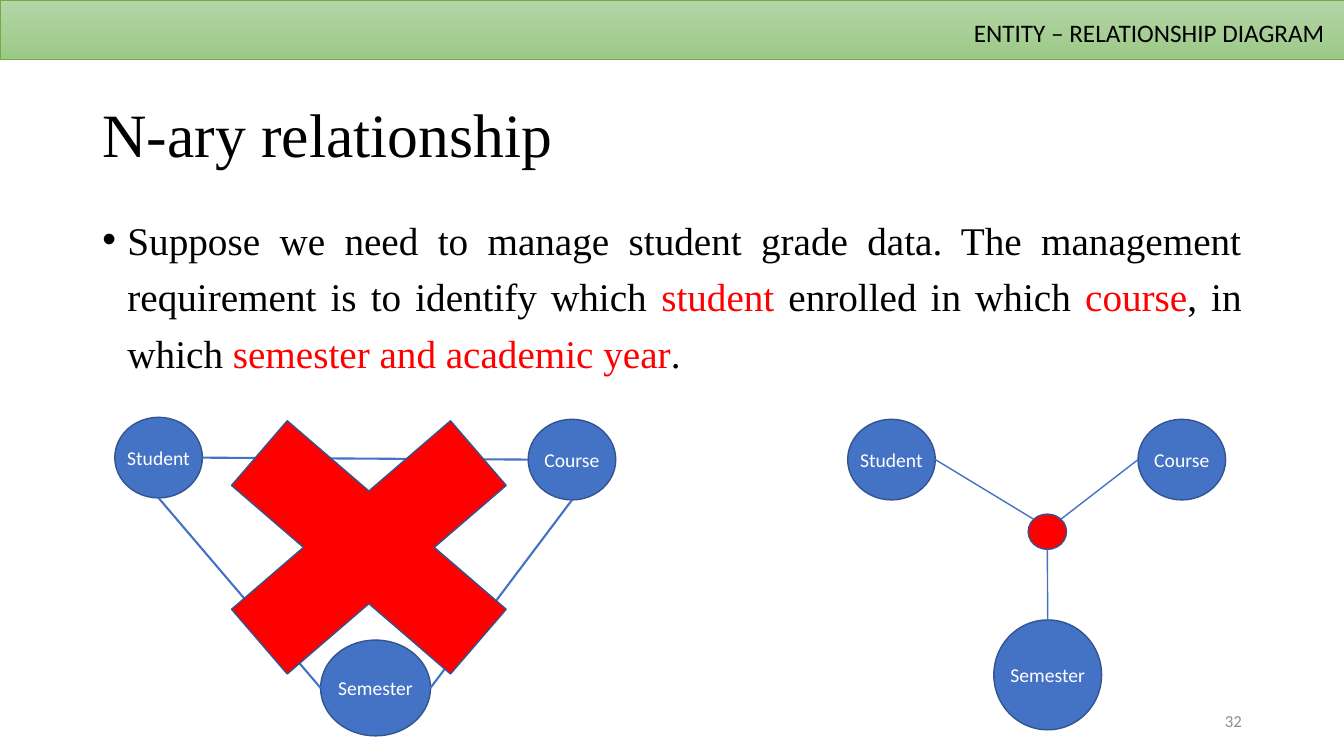
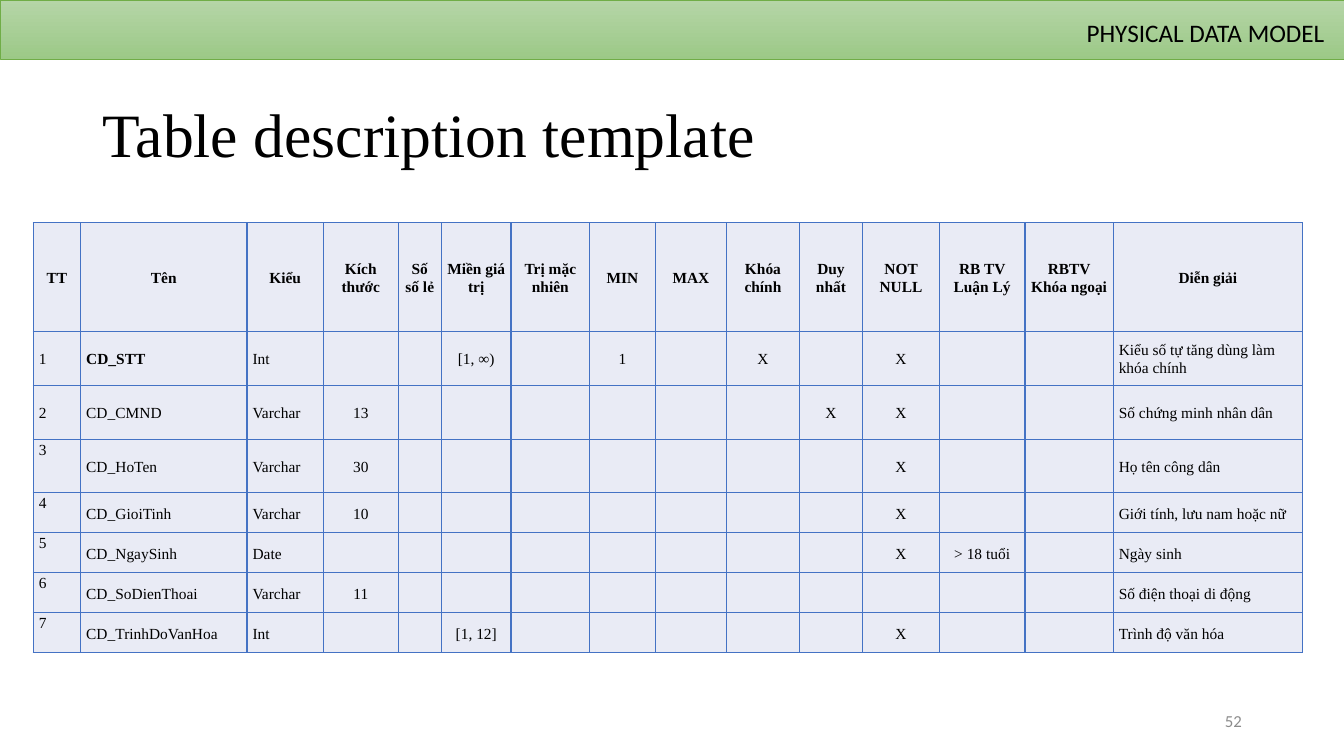
import lxml.etree
import pptx
import pptx.dml.color
import pptx.enum.shapes
import pptx.enum.text
import pptx.oxml.ns
import pptx.util

Pt = pptx.util.Pt
qn = pptx.oxml.ns.qn
ALIGN = pptx.enum.text.PP_ALIGN
ANCHOR = pptx.enum.text.MSO_ANCHOR
SHAPE = pptx.enum.shapes.MSO_SHAPE

# Shared colours and text formats
BLACK, WHITE, GREY, RED = "000000", "FFFFFF", "8C8C8C", "FF0000"
BLUE, DARK_BLUE, GREEN = "4472C4", "325491", "70AD47"
BAND_TOP, BAND_BOTTOM = "B5D5A7", "9CC987"
CELL_FILL = "E9EBF5"

TITLE_FONT = {"name": "Times New Roman", "size": Pt(44)}
BODY_FONT = {"name": "Times New Roman", "size": Pt(28)}
HEADER_FONT = {"name": "Calibri", "size": Pt(18)}
NUMBER_FONT = {"name": "Calibri", "size": Pt(12)}
NODE_FONT = {"name": "Calibri", "size": Pt(14)}
CELL_FONT = {"name": "Times New Roman", "size": Pt(11), "bold": False}
BOLD_CELL_FONT = {**CELL_FONT, "bold": True}

NO_MARGINS = dict.fromkeys(
    ("margin_left", "margin_top", "margin_right", "margin_bottom"), 0)
CELL_FORMAT = {"margin_left": Pt(4), "margin_top": Pt(0.7),
               "margin_right": Pt(4), "margin_bottom": 0}

# Points on an oval as fractions of its width and height
SITES = {"top": (0.5, 0), "left": (0, 0.5), "bottom": (0.5, 1),
         "right": (1, 0.5), "top left": (0.15, 0.15), "top right": (0.85, 0.15)}

# Table content
COLUMN_WIDTHS = (33.8, 118.8, 54.7, 53.3, 31, 49.7, 56.2, 46.8,
                 51.1, 51.8, 45.4, 54.7, 61.2, 63, 135.4)
ROW_HEIGHTS = (77.8,) + (38.4,) * 3 + (28.6,) * 4
CENTRED_COLUMNS = range(3, 14)
FIRST_TOP_ANCHORED_ROW = 3
TABLE_ROWS = (
    ("TT", "Tên", "Kiểu", "Kích thước", "Số số lẻ", "Miền giá trị",
     "Trị mặc nhiên", "MIN", "MAX", "Khóa chính", "Duy nhất", "NOT NULL",
     "RB TV Luận Lý", "RBTV Khóa ngoại", "Diễn giải"),
    ("1", "CD_STT", "Int", "", "", "[1, ∞)", "", "1", "", "X", "", "X", "", "",
     "Kiểu số tự tăng dùng làm khóa chính"),
    ("2", "CD_CMND", "Varchar", "13", "", "", "", "", "", "", "X", "X", "", "",
     "Số chứng minh nhân dân"),
    ("3", "CD_HoTen", "Varchar", "30", "", "", "", "", "", "", "", "X", "", "",
     "Họ tên công dân"),
    ("4", "CD_GioiTinh", "Varchar", "10", "", "", "", "", "", "", "", "X", "", "",
     "Giới tính, lưu nam hoặc nữ"),
    ("5", "CD_NgaySinh", "Date", "", "", "", "", "", "", "", "", "X",
     "> 18 tuổi", "", "Ngày sinh"),
    ("6", "CD_SoDienThoai", "Varchar", "11", "", "", "", "", "", "", "", "", "", "",
     "Số điện thoại di động"),
    ("7", "CD_TrinhDoVanHoa", "Int", "", "", "[1, 12]", "", "", "", "", "", "X",
     "", "", "Trình độ văn hóa"),
)


# Formatting helpers
def color(hex_string):
    return pptx.dml.color.RGBColor.from_string(hex_string)


def apply_format(target, values):
    for name, value in values.items():
        setattr(target, name, value)


def points(*lengths):
    return [Pt(length) for length in lengths]


def add_run(paragraph, text, font, font_color=BLACK):
    run = paragraph.add_run()
    run.text = text
    apply_format(run.font, font)
    run.font.color.rgb = color(font_color)


def style_line(line, line_color, width):
    line.color.rgb = color(line_color)
    line.width = Pt(width)


# Elements shared by the slides
def add_text_box(slide, box, runs, font, frame_format=None, **paragraph_format):
    shape = slide.shapes.add_textbox(*points(*box))
    apply_format(shape.text_frame, {"word_wrap": True, **(frame_format or {})})
    paragraph = shape.text_frame.paragraphs[0]
    apply_format(paragraph, paragraph_format)
    for text, font_color in runs:
        add_run(paragraph, text, font, font_color)
    return paragraph


def add_band(slide):
    band = slide.shapes.add_shape(SHAPE.RECTANGLE, *points(0, 0, 960, 42.5))
    band.shadow.inherit = False
    band.fill.gradient()
    band.fill.gradient_angle = 270
    for stop, stop_color in zip(band.fill.gradient_stops, (BAND_TOP, BAND_BOTTOM)):
        stop.color.rgb = color(stop_color)
    style_line(band.line, GREEN, 0.5)


def set_title(slide, text, width):
    title = slide.shapes.title
    box = points(66, 63.4, width, 69.8)
    apply_format(title, dict(zip(("left", "top", "width", "height"), box)))
    apply_format(title.text_frame, {
        "vertical_anchor": ANCHOR.MIDDLE, "word_wrap": True,
        "auto_size": pptx.enum.text.MSO_AUTO_SIZE.NONE})
    paragraph = title.text_frame.paragraphs[0]
    apply_format(paragraph, {"alignment": ALIGN.LEFT, "line_spacing": 0.9})
    add_run(paragraph, text, TITLE_FONT)


def add_slide(presentation, title, title_width, header, header_left, number):
    slide = presentation.slides.add_slide(presentation.slide_layouts[5])
    add_band(slide)
    set_title(slide, title, title_width)
    add_text_box(slide, (header_left, 8.6, 953.2 - header_left, 28.8),
                 [(header, BLACK)], HEADER_FONT, alignment=ALIGN.RIGHT)
    add_text_box(slide, (678.2, 500.4, 216, 28.8), [(number, GREY)], NUMBER_FONT,
                 {"vertical_anchor": ANCHOR.MIDDLE}, alignment=ALIGN.RIGHT)
    return slide


def add_bullet_text(slide, box, runs):
    paragraph = add_text_box(slide, box, runs, BODY_FONT)
    properties = paragraph._p.get_or_add_pPr()
    properties.set("marL", str(Pt(18)))
    properties.set("indent", str(-Pt(18)))
    lxml.etree.SubElement(properties, qn("a:buFont")).set("typeface", "Arial")
    lxml.etree.SubElement(properties, qn("a:buChar")).set("char", "•")
    apply_format(paragraph, {"alignment": ALIGN.JUSTIFY, "line_spacing": 1.2,
                             "space_after": Pt(6)})


# Diagram elements
def add_figure(shapes, kind, box, fill_color):
    shape = shapes.add_shape(kind, *points(*box))
    shape.shadow.inherit = False
    shape.fill.solid()
    shape.fill.fore_color.rgb = color(fill_color)
    style_line(shape.line, DARK_BLUE, 1)
    return shape


def add_node(shapes, text, left, top, width=62.6, height=57.6):
    node = add_figure(shapes, SHAPE.FLOWCHART_CONNECTOR,
                      (left, top, width, height), BLUE)
    apply_format(node.text_frame, {**NO_MARGINS, "word_wrap": False,
                                   "vertical_anchor": ANCHOR.MIDDLE})
    paragraph = node.text_frame.paragraphs[0]
    paragraph.alignment = ALIGN.CENTER
    add_run(paragraph, text, NODE_FONT, WHITE)
    return node


def site_position(shape, site):
    across, down = SITES[site]
    return (int(shape.left + across * shape.width),
            int(shape.top + down * shape.height))


def add_link(shapes, start, start_site, end, end_site, width):
    link = shapes.add_connector(pptx.enum.shapes.MSO_CONNECTOR.STRAIGHT,
                                *site_position(start, start_site),
                                *site_position(end, end_site))
    style_line(link.line, BLUE, width)
    lxml.etree.SubElement(link._element.spPr, qn("a:effectLst"))


def add_binary_diagram(slide):
    shapes = slide.shapes.add_group_shape().shapes
    student = add_node(shapes, "Student", 82, 298.1)
    course = add_node(shapes, "Course", 377.3, 299.5)
    semester = add_node(shapes, "Semester", 229, 457.2, 78.5, 68.4)
    add_link(shapes, student, "right", course, "left", 1.5)
    add_link(shapes, student, "bottom", semester, "left", 1.5)
    add_link(shapes, semester, "right", course, "bottom", 1.5)
    add_figure(slide.shapes, SHAPE.MATH_MULTIPLY, (113, 261.4, 301, 259.2), RED)


def add_ternary_diagram(slide):
    shapes = slide.shapes.add_group_shape().shapes
    student = add_node(shapes, "Student", 605.5, 299.5)
    course = add_node(shapes, "Course", 812.9, 299.5)
    semester = add_node(shapes, "Semester", 709.9, 442.8, 77, 78.5)
    hub = add_figure(shapes, SHAPE.FLOWCHART_CONNECTOR,
                     (734.4, 367.2, 27.4, 25.2), RED)
    add_link(shapes, hub, "bottom", semester, "top", 1)
    add_link(shapes, hub, "top right", course, "left", 1)
    add_link(shapes, hub, "top left", student, "right", 1)


# Table elements
def add_borders(cell):
    properties = cell._tc.get_or_add_tcPr()
    for index, side in enumerate(("lnL", "lnR", "lnT", "lnB")):
        border = lxml.etree.Element(qn(f"a:{side}"), w=str(Pt(1)))
        fill = lxml.etree.SubElement(border, qn("a:solidFill"))
        lxml.etree.SubElement(fill, qn("a:srgbClr")).set("val", BLUE)
        properties.insert(index, border)


def fill_cell(cell, text, row, column):
    is_header = row == 0
    at_top = column == 0 and row >= FIRST_TOP_ANCHORED_ROW
    apply_format(cell, {**CELL_FORMAT, "vertical_anchor":
                        ANCHOR.TOP if at_top else ANCHOR.MIDDLE})
    cell.fill.solid()
    cell.fill.fore_color.rgb = color(CELL_FILL)
    add_borders(cell)
    if text:
        paragraph = cell.text_frame.paragraphs[0]
        centred = is_header or column in CENTRED_COLUMNS
        apply_format(paragraph, {"line_spacing": 1.07, "alignment":
                                 ALIGN.CENTER if centred else ALIGN.LEFT})
        is_key = (row, column) == (1, 1)
        add_run(paragraph, text, BOLD_CELL_FONT if is_header or is_key else CELL_FONT)


def add_description_table(slide):
    box = (23.8, 159.1, sum(COLUMN_WIDTHS), sum(ROW_HEIGHTS))
    table = slide.shapes.add_table(
        len(ROW_HEIGHTS), len(COLUMN_WIDTHS), *points(*box)).table
    apply_format(table, {"first_row": False, "horz_banding": False})
    for column, width in zip(table.columns, COLUMN_WIDTHS):
        column.width = Pt(width)
    for row, height in zip(table.rows, ROW_HEIGHTS):
        row.height = Pt(height)
    for row, texts in enumerate(TABLE_ROWS):
        for column, text in enumerate(texts):
            fill_cell(table.cell(row, column), text, row, column)


def main():
    presentation = pptx.Presentation()
    apply_format(presentation, {"slide_width": Pt(960), "slide_height": Pt(540)})

    # N-ary relationship
    slide = add_slide(presentation, "N-ary relationship", 846,
                      "ENTITY – RELATIONSHIP DIAGRAM", 542.8, "32")
    add_bullet_text(slide, (66, 144, 828, 342.7), [
        ("Suppose we need to manage student grade data. The management "
         "requirement is to identify which ", BLACK),
        ("student", RED), (" enrolled in which ", BLACK), ("course", RED),
        (", in which ", BLACK), ("semester and academic year", RED), (".", BLACK)])
    add_binary_diagram(slide)
    add_ternary_diagram(slide)

    # Table description template
    slide = add_slide(presentation, "Table description template", 828,
                      "PHYSICAL DATA MODEL", 415.4, "52")
    add_description_table(slide)

    presentation.save("out.pptx")


if __name__ == "__main__":
    main()
